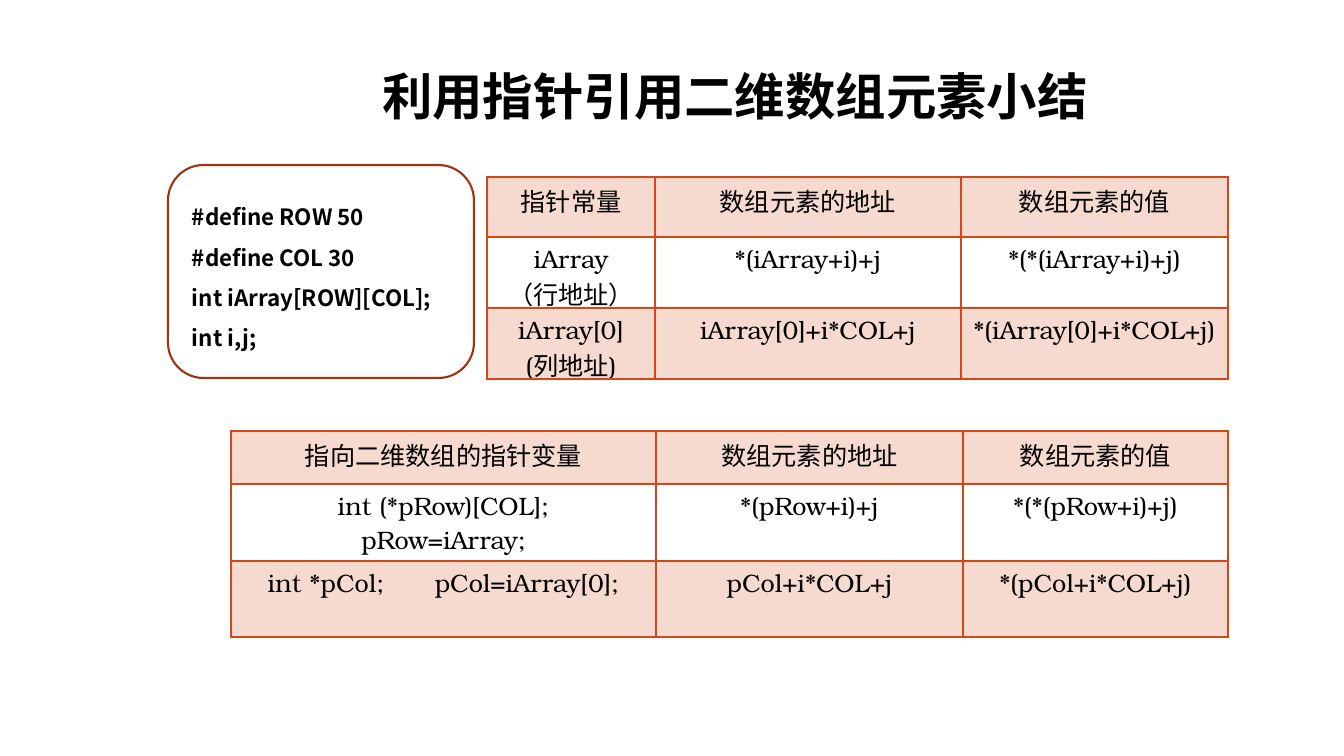
from dataclasses import dataclass

from lxml import etree
from pptx import Presentation
from pptx.dml.color import RGBColor
from pptx.enum.shapes import MSO_SHAPE
from pptx.enum.text import MSO_ANCHOR, MSO_AUTO_SIZE, PP_ALIGN
from pptx.oxml.ns import qn
from pptx.util import Pt

ROUNDED = MSO_SHAPE.ROUNDED_RECTANGLE
LEFT, CENTER = PP_ALIGN.LEFT, PP_ALIGN.CENTER
TOP = MSO_ANCHOR.TOP
GROW = MSO_AUTO_SIZE.SHAPE_TO_FIT_TEXT
TITLE_ONLY = 5
EMU_PER_PX = 914400 / 100.8


@dataclass(frozen=True)
class Theme:
    """Colours, fonts and type sizes of the slide."""
    ink: str = "000000"
    accent: str = "D34817"
    frame: str = "9C3511"
    tint_alpha: int = 20
    sans: str = "Noto Sans CJK SC"
    serif: str = "TeX Gyre Bonum"
    title_size: int = 36
    table_size: int = 18
    code_size: int = 16
    gap_spacing: int = 30


THEME = Theme()


def px(length):
    """Turn pixels into EMU."""
    return round(length * EMU_PER_PX)


def style(paragraph, size, face, align, bold=False):
    """Set the font and alignment of a whole paragraph."""
    font = paragraph.font
    font.size, font.name, font.bold = Pt(size), face, bold
    font.color.rgb = RGBColor.from_string(THEME.ink)
    paragraph.alignment = align
    defaults = paragraph._p.pPr.find(qn("a:defRPr"))
    etree.SubElement(defaults, qn("a:ea"), typeface=THEME.sans)


def add_title(slide, box, wording):
    """Place the title placeholder in box."""
    title = slide.shapes.title
    title.left, title.top, title.width, title.height = map(px, box)
    frame = title.text_frame
    frame.text = wording
    frame.word_wrap, frame.auto_size = False, GROW
    frame.vertical_anchor = TOP
    style(frame.paragraphs[0], THEME.title_size, THEME.sans, LEFT, True)


def add_code(slide, box, code):
    """Place declarations inside a rounded frame that fills box."""
    left, top, width, height = box
    listing = slide.shapes.add_textbox(
        px(left + 14), px(top + 20), px(width + 35), px(height - 45))
    frame = listing.text_frame
    frame.word_wrap, frame.auto_size = True, GROW
    frame.text = code
    for line in frame.paragraphs:
        style(line, THEME.code_size, THEME.sans, LEFT, True)
        line.line_spacing = 1.5

    border = slide.shapes.add_shape(ROUNDED, *map(px, box))
    border.shadow.inherit = False
    border.fill.background()
    border.line.color.rgb = RGBColor.from_string(THEME.frame)
    border.line.width = Pt(1.5)


def paint_cell(cell, tinted):
    """Fill a cell and draw its four borders."""
    if tinted:
        cell.fill.solid()
        cell.fill.fore_color.rgb = RGBColor.from_string(THEME.accent)
    else:
        cell.fill.background()
    properties = cell._tc.get_or_add_tcPr()
    for colour in properties.iter(qn("a:srgbClr")):
        etree.SubElement(colour, qn("a:alpha"), val=str(THEME.tint_alpha * 1000))
    for place, side in enumerate(("lnL", "lnR", "lnT", "lnB")):
        line = etree.Element(qn(f"a:{side}"), w=str(Pt(1)))
        fill = etree.SubElement(line, qn("a:solidFill"))
        etree.SubElement(fill, qn("a:srgbClr"), val=THEME.accent)
        properties.insert(place, line)


def write_cell(cell, wording):
    """Write centred lines; a tab marks a wide gap within a line."""
    frame = cell.text_frame
    for number, line in enumerate(wording.split("\n")):
        paragraph = frame.add_paragraph() if number else frame.paragraphs[0]
        for place, part in enumerate(line.split("\t")):
            if place:
                gap = paragraph.add_run()
                gap.text = " "
                gap._r.get_or_add_rPr().set("spc", str(THEME.gap_spacing * 100))
            paragraph.add_run().text = part
        style(paragraph, THEME.table_size, THEME.serif, CENTER)


def add_reference_table(slide, origin, widths, heights, rows):
    """Place a table at origin, with every other row tinted."""
    left, top = origin
    table = slide.shapes.add_table(
        len(rows), len(widths), px(left), px(top),
        px(sum(widths)), px(sum(heights))).table
    table.first_row = table.horz_banding = False
    for column, width in zip(table.columns, widths):
        column.width = px(width)
    for r, (height, wordings) in enumerate(zip(heights, rows)):
        table.rows[r].height = px(height)
        for c, wording in enumerate(wordings):
            write_cell(table.cell(r, c), wording)
            paint_cell(table.cell(r, c), r % 2 == 0)


def build():
    """Build and save the slide."""
    deck = Presentation()
    deck.slide_width, deck.slide_height = px(1344), px(756)
    slide = deck.slides.add_slide(deck.slide_layouts[TITLE_ONLY])
    element_heads = ("数组元素的地址", "数组元素的值")

    add_title(slide, (372, 60, 733, 72), "利用指针引用二维数组元素小结")
    add_code(slide, (168, 165, 306, 213),
             "#define ROW 50\n#define COL 30\nint iArray[ROW][COL];\nint i,j;")
    add_reference_table(slide, (487, 177), (168, 306, 267), (60, 71, 71), [
        ("指针常量", *element_heads),
        ("iArray\n（行地址）", "*(iArray+i)+j", "*(*(iArray+i)+j)"),
        ("iArray[0]\n(列地址)", "iArray[0]+i*COL+j", "*(iArray[0]+i*COL+j)"),
    ])
    add_reference_table(slide, (231, 431), (425, 307, 265), (53, 77, 76), [
        ("指向二维数组的指针变量", *element_heads),
        ("int (*pRow)[COL];\npRow=iArray;", "*(pRow+i)+j", "*(*(pRow+i)+j)"),
        ("int *pCol;\tpCol=iArray[0];", "pCol+i*COL+j", "*(pCol+i*COL+j)"),
    ])
    deck.save("out.pptx")


build()
